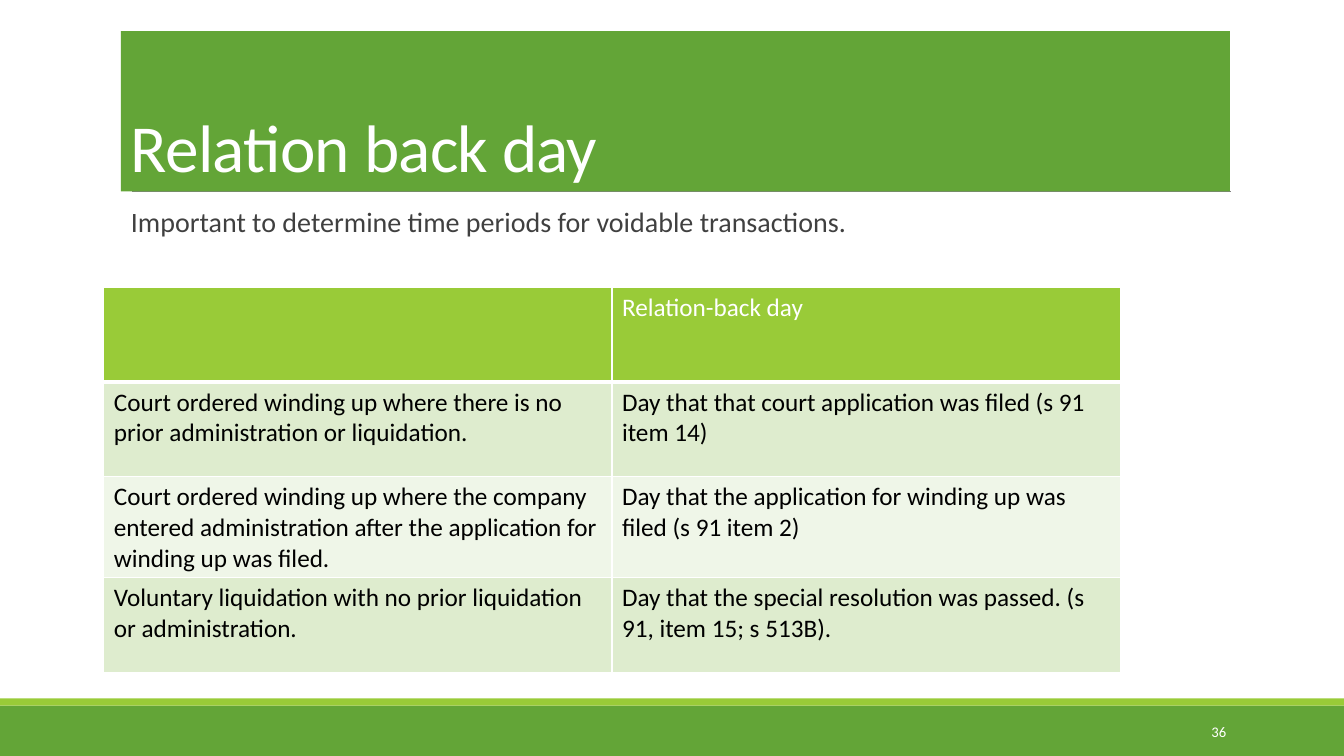
"""Build the slide on the relation-back day, with its table of winding-up cases."""
from dataclasses import dataclass

from lxml import etree
from pptx import Presentation
from pptx.dml.color import RGBColor
from pptx.enum.shapes import MSO_CONNECTOR, MSO_SHAPE
from pptx.enum.text import MSO_ANCHOR, PP_ALIGN
from pptx.oxml.ns import qn
from pptx.util import Inches, Pt

RECTANGLE = MSO_SHAPE.RECTANGLE
STRAIGHT = MSO_CONNECTOR.STRAIGHT
TOP, MIDDLE, BOTTOM = MSO_ANCHOR.TOP, MSO_ANCHOR.MIDDLE, MSO_ANCHOR.BOTTOM
LEFT, RIGHT = PP_ALIGN.LEFT, PP_ALIGN.RIGHT


@dataclass(frozen=True)
class Theme:
    font: str = "Calibri"
    green: str = "63A537"
    lime: str = "99CB38"
    rule: str = "808080"
    body: str = "404040"
    black: str = "000000"
    white: str = "FFFFFF"
    bands: tuple = ("DEECCE", "EFF6E8")
    title_size: float = 48
    body_size: float = 20
    table_size: float = 18
    number_size: float = 10.5


theme = Theme()


def add_rectangle(left, top, width, height, color):
    shape = page.shapes.add_shape(
        RECTANGLE, Inches(left), Inches(top), Inches(width), Inches(height))
    shape.shadow.inherit = False
    shape.fill.solid()
    shape.fill.fore_color.rgb = RGBColor.from_string(color)
    shape.line.fill.background()
    return shape


def write_text(frame, text, size, color, anchor=TOP, align=LEFT):
    frame.word_wrap = True
    frame.vertical_anchor = anchor
    para = frame.paragraphs[0]
    para.text = text
    para.alignment = align
    para.font.name = theme.font
    para.font.size = Pt(size)
    para.font.color.rgb = RGBColor.from_string(color)
    return para


deck = Presentation()
deck.slide_width, deck.slide_height = Inches(13.33), Inches(7.5)
page = deck.slides.add_slide(deck.slide_layouts[6])

add_rectangle(0, 7, 13.33, 0.5, theme.green)
add_rectangle(0, 6.93, 13.33, 0.07, theme.lime)

title_rule = page.shapes.add_connector(
    STRAIGHT, Inches(1.31), Inches(1.9), Inches(12.21), Inches(1.9))
title_rule.line.color.rgb = RGBColor.from_string(theme.rule)
title_rule.line.width = Pt(0.5)
etree.SubElement(title_rule.element.spPr, qn("a:effectLst"))

title = add_rectangle(1.2, 0.31, 11, 1.59, theme.green)
para = write_text(title.text_frame, "Relation back day",
                  theme.title_size, theme.white, BOTTOM)
para.line_spacing = 0.85
para.runs[0].font.element.set("spc", "-50") if hasattr(
    para.runs[0].font, "element") else para.runs[0]._r.get_or_add_rPr().set("spc", "-50")

body = page.shapes.add_textbox(Inches(1.2), Inches(2.02), Inches(11), Inches(4.4))
body.text_frame.margin_right = 0
para = write_text(body.text_frame,
                  "Important to determine time periods for voidable transactions.",
                  theme.body_size, theme.body)
para.line_spacing = 0.9
para.space_before, para.space_after = Pt(12), Pt(2)

rows = [
    ("", "Relation-back day"),
    ("Court ordered winding up where there is no prior administration or liquidation.",
     "Day that that court application was filed (s 91 item 14)"),
    ("Court ordered winding up where the company entered administration after the "
     "application for winding up was filed.",
     "Day that the application for winding up was filed (s 91 item 2)"),
    ("Voluntary liquidation with no prior liquidation or administration.",
     "Day that the special resolution was passed. (s 91, item 15; s 513B)."),
]
table = page.shapes.add_table(
    len(rows), 2, Inches(1.03), Inches(2.85), Inches(10.08), Inches(3.76)).table
table.first_row = table.horz_banding = False
for row_index, texts in enumerate(rows):
    is_header = row_index == 0
    fill = theme.lime if is_header else theme.bands[(row_index - 1) % 2]
    color = theme.white if is_header else theme.black
    for column_index, text in enumerate(texts):
        cell = table.cell(row_index, column_index)
        write_text(cell.text_frame, text, theme.table_size, color)
        properties = cell._tc.get_or_add_tcPr()
        for side in ("lnL", "lnR", "lnT", "lnB"):
            width = Pt(3) if is_header and side == "lnB" else Pt(1)
            border = etree.SubElement(properties, qn(f"a:{side}"), w=str(width))
            border_fill = etree.SubElement(border, qn("a:solidFill"))
            etree.SubElement(border_fill, qn("a:srgbClr"), val=theme.white)
        cell.fill.solid()
        cell.fill.fore_color.rgb = RGBColor.from_string(fill)

number = page.shapes.add_textbox(Inches(10.83), Inches(7.06), Inches(1.43), Inches(0.4))
write_text(number.text_frame, "36", theme.number_size, theme.white, MIDDLE, RIGHT)

deck.save("out.pptx")
